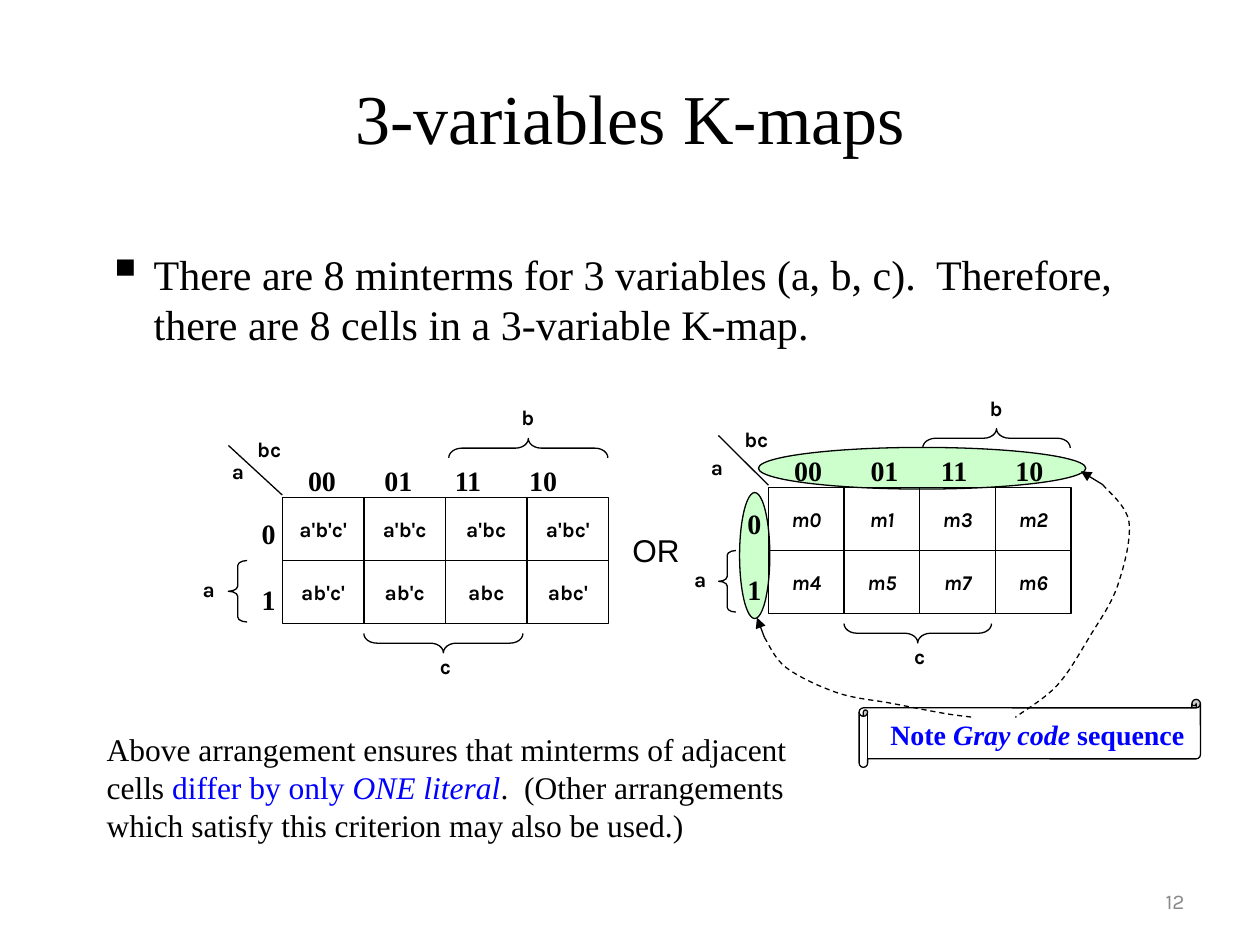
from dataclasses import dataclass
from typing import NamedTuple

from lxml.etree import SubElement
from pptx import Presentation
from pptx.dml.color import RGBColor
from pptx.enum.dml import MSO_LINE
from pptx.enum.shapes import MSO_CONNECTOR, MSO_SHAPE as Preset
from pptx.enum.text import MSO_ANCHOR as Anchor, PP_ALIGN as Align
from pptx.oxml.ns import qn
from pptx.util import Cm, Pt


@dataclass(frozen=True)
class Theme:
    serif: str = "Times New Roman"
    label: str = "Karla"
    sans: str = "Arial"
    ink: RGBColor = RGBColor(0x00, 0x00, 0x00)
    accent: RGBColor = RGBColor(0x00, 0x00, 0xFF)
    highlight: RGBColor = RGBColor(0xCC, 0xFF, 0xCC)
    paper: RGBColor = RGBColor(0xFF, 0xFF, 0xFF)
    muted: RGBColor = RGBColor(0x89, 0x89, 0x89)
    title_size: int = 40
    body_size: int = 24
    note_size: int = 18
    code_size: int = 16
    label_size: int = 12
    line_width: float = 0.75


class Box(NamedTuple):
    """A region in centimetres."""
    left: float
    top: float
    width: float
    height: float

    def inner(self, dx, dy, width, height):
        return Box(self.left + dx, self.top + dy, width, height)

    def lengths(self):
        return [Cm(value) for value in self]


THEME = Theme()


def add_run(paragraph, text, size, font=THEME.serif, color=THEME.ink, bold=False, italic=False):
    run = paragraph.add_run()
    run.text = text
    run.font.name, run.font.size = font, Pt(size)
    run.font.bold, run.font.italic = bold, italic
    run.font.color.rgb = color


def add_text(shapes, box, runs=(), align=Align.LEFT):
    """Add a wrapped text box; each run is (text, size, style)."""
    frame = shapes.add_textbox(*box.lengths()).text_frame
    frame.word_wrap = True
    paragraph = frame.paragraphs[0]
    paragraph.alignment = align
    for text, size, style in runs:
        add_run(paragraph, text, size, **style)
    return frame


def add_label(shapes, box, text, italic=False):
    style = dict(font=THEME.label, bold=True, italic=italic)
    add_text(shapes, box, [(text, THEME.label_size, style)], Align.CENTER)


def set_line(line):
    line.color.rgb = THEME.ink
    line.width = Pt(THEME.line_width)


def add_outline(shapes, preset, box, fill=None):
    shape = shapes.add_shape(preset, *box.lengths())
    shape.shadow.inherit = False
    if fill is None:
        shape.fill.background()
    else:
        shape.fill.solid()
        shape.fill.fore_color.rgb = fill
    set_line(shape.line)
    return shape


def add_line(shapes, start, end, arrow=False):
    ends = [Cm(value) for value in (*start, *end)]
    connector = shapes.add_connector(MSO_CONNECTOR.STRAIGHT, *ends)
    set_line(connector.line)
    properties = connector.element.spPr
    if arrow:
        SubElement(properties.get_or_add_ln(), qn("a:tailEnd"), type="triangle")
    SubElement(properties, qn("a:effectLst"))
    return connector


def add_brace(shapes, box, rotation=0):
    """Fit a brace into box; a quarter turn swaps its sides."""
    left, top, width, height = box
    if rotation:
        box = Box(left + (width - height) / 2, top + (height - width) / 2, height, width)
    brace = add_outline(shapes, Preset.LEFT_BRACE, box)
    brace.rotation = rotation
    brace.adjustments[0] = 0.67 if rotation else 0.27


def add_dashed_curve(shapes, knots, steps=8):
    """Draw a smooth Catmull-Rom curve through the knots."""
    padded = [knots[0], *knots, knots[-1]]
    points = [knots[0]]
    for p0, p1, p2, p3 in zip(padded, padded[1:], padded[2:], padded[3:]):
        for t in (step / steps for step in range(1, steps + 1)):
            points.append(tuple(
                b + t * ((c - a) + t * ((2 * a - 5 * b + 4 * c - d) + t * (3 * b - a - 3 * c + d))) / 2
                for a, b, c, d in zip(p0, p1, p2, p3)))
    points = [(Cm(x), Cm(y)) for x, y in points]
    builder = shapes.build_freeform(*points[0])
    builder.add_line_segments(points[1:], close=False)
    curve = builder.convert_to_shape()
    curve.shadow.inherit = False
    curve.fill.background()
    set_line(curve.line)
    curve.line.dash_style = MSO_LINE.DASH


def place_title(slide, box):
    title = slide.shapes.title
    title.left, title.top, title.width, title.height = box.lengths()
    title.text_frame.vertical_anchor = Anchor.MIDDLE
    paragraph = title.text_frame.paragraphs[0]
    paragraph.alignment = Align.CENTER
    add_run(paragraph, "3-variables K-maps", THEME.title_size)


def place_statement(slide, box):
    text = ("There are 8 minterms for 3 variables (a, b, c).  Therefore, "
            "there are 8 cells in a 3-variable K-map.")
    frame = add_text(slide.shapes, box, [(text, THEME.body_size, {})])
    paragraph = frame.paragraphs[0]
    paragraph.space_before = Pt(6)
    properties = paragraph._p.get_or_add_pPr()
    properties.set("marL", str(Cm(0.95)))
    properties.set("indent", str(-Cm(0.95)))
    SubElement(SubElement(properties, qn("a:buClr")), qn("a:srgbClr"), val=str(THEME.ink))
    SubElement(properties, qn("a:buSzPct"), val="120000")
    SubElement(properties, qn("a:buChar"), char="▪")


def place_k_map(slide, grid, rows, corner_a, italic=False, highlight=False):
    """Draw a map whose cells fill grid, with its labels and braces around it."""
    shapes = slide.shapes.add_group_shape().shapes
    left, top, width, height = grid
    cell, row = width / 4, height / 2
    if highlight:
        for area in ((-0.58, 0.1, 0.61, height), (-0.2, -0.81, 6.6, 0.84)):
            add_outline(shapes, Preset.OVAL, grid.inner(*area), THEME.highlight)

    # Cells
    frame = add_outline(shapes, Preset.RECTANGLE, grid)
    middle = add_line(shapes, (left, top + row), (left + width, top + row))
    middle.begin_connect(frame, 1)
    middle.end_connect(frame, 3)
    for column in (1, 2, 3):
        x = left + column * cell
        divider = add_line(shapes, (x, top), (x, top + height))
        if column == 2:
            divider.begin_connect(frame, 0)
            divider.end_connect(frame, 2)
    for r, terms in enumerate(rows):
        for c, term in enumerate(terms):
            add_label(shapes, grid.inner(c * cell, r * row + 0.25, cell, 1.02), term, italic)

    # Gray code headings
    code = dict(bold=True)
    headings = add_text(shapes, grid.inner(0.27, -0.81, 3.73 * cell, 1.02),
                        [("00\t01\t11\t10", THEME.code_size, code)])
    stops = SubElement(headings.paragraphs[0]._p.get_or_add_pPr(), qn("a:tabLst"))
    for stop in (1.54, 2.96, 4.46):
        SubElement(stops, qn("a:tab"), pos=str(Cm(stop)), algn="l")
    side = add_text(shapes, grid.inner(-0.5 * cell, 0.25, 0.57 * cell, 2.16),
                    [("0", THEME.code_size, code)], Align.RIGHT)
    second = side.add_paragraph()
    second.alignment = Align.RIGHT
    second.space_before = Pt(19)
    add_run(second, "1", THEME.code_size, **code)

    # Braces and variable names
    add_brace(shapes, grid.inner(-0.66 * cell, row, 0.23 * cell, 1.24))
    add_brace(shapes, grid.inner(2.04 * cell, -1.19, 1.95 * cell, 0.39), 90)
    add_brace(shapes, grid.inner(cell, 2.74, 1.95 * cell, 0.39), 270)
    add_line(shapes, (left, top - 0.05), (left - 0.66 * cell, top - 1.05))
    name = 0.74 * cell
    for text, dx, dy, label_width in (
            ("a", -1.27 * cell, 1.46, name), ("b", 2.64 * cell, -1.99, name),
            ("c", 1.63 * cell, 3.02, name), ("a", *corner_a, name),
            ("bc", -0.59 * cell, -1.35, 0.86 * cell)):
        add_label(shapes, grid.inner(dx, dy, label_width, 0.8), text)


def place_gray_code_note(slide, box):
    shapes = slide.shapes.add_group_shape().shapes
    add_outline(shapes, Preset.HORIZONTAL_SCROLL, box, THEME.paper)
    style = dict(color=THEME.accent, bold=True)
    add_text(shapes, box.inner(0.38, 0.25, 6.6, 1.02), [
        ("Note ", THEME.code_size, style),
        ("Gray code", THEME.code_size, dict(style, italic=True)),
        (" sequence", THEME.code_size, style)])

    # Dashed pointers: arrow tip first, then the curve back to the note
    to_rows = [(-2.06, -1.65), (-1.91, -1.25), (-1.47, -0.64), (-0.43, -0.13),
               (0.66, 0.08), (1.7, 0.28), (2.29, 0.36)]
    to_columns = [(4.47, -4.6), (4.91, -4.33), (5.44, -3.58), (5.21, -2.29),
                  (4.65, -1.27), (3.99, -0.28), (3.15, 0.36)]
    for pointer in (to_rows, to_columns):
        tip, *knots = [(box.left + x, box.top + y) for x, y in pointer]
        add_line(shapes, knots[0], tip, arrow=True)
        add_dashed_curve(shapes, knots)


def place_remark(slide, box):
    add_text(slide.shapes, box, [
        ("Above arrangement ensures that minterms of adjacent cells ", THEME.note_size, {}),
        ("differ by only ", THEME.note_size, dict(color=THEME.accent)),
        ("ONE literal", THEME.note_size, dict(color=THEME.accent, italic=True)),
        (".  (Other arrangements which satisfy this criterion may also be used.)",
         THEME.note_size, {})])


def place_page_number(slide, box):
    style = dict(font=THEME.label, color=THEME.muted)
    frame = add_text(slide.shapes, box, [("12", THEME.label_size, style)], Align.RIGHT)
    frame.vertical_anchor = Anchor.MIDDLE


def main():
    deck = Presentation()
    deck.slide_width, deck.slide_height = Cm(25.4), Cm(19.05)
    slide = deck.slides.add_slide(deck.slide_layouts[5])
    place_title(slide, Box(1.27, 0.76, 22.86, 3.18))
    place_statement(slide, Box(1.9, 4.88, 22.23, 2.34))
    place_page_number(slide, Box(18.21, 17.65, 5.92, 1.02))
    place_k_map(slide, Box(5.69, 10.03, 6.58, 2.54),
                [("a'b'c'", "a'b'c", "a'bc", "a'bc'"), ("ab'c'", "ab'c", "abc", "abc'")],
                corner_a=(-1.5, -0.91))
    add_text(slide.shapes, Box(12.5, 10.59, 1.47, 1.09),
             [("OR", THEME.note_size, dict(font=THEME.sans))])
    place_k_map(slide, Box(15.49, 9.83, 6.1, 2.54),
                [("m0", "m1", "m3", "m2"), ("m4", "m5", "m7", "m6")],
                corner_a=(-1.6, -0.79), italic=True, highlight=True)
    place_gray_code_note(slide, Box(17.32, 14.1, 6.88, 1.37))
    place_remark(slide, Box(1.9, 14.6, 15.04, 3.81))
    deck.save("out.pptx")


if __name__ == "__main__":
    main()
